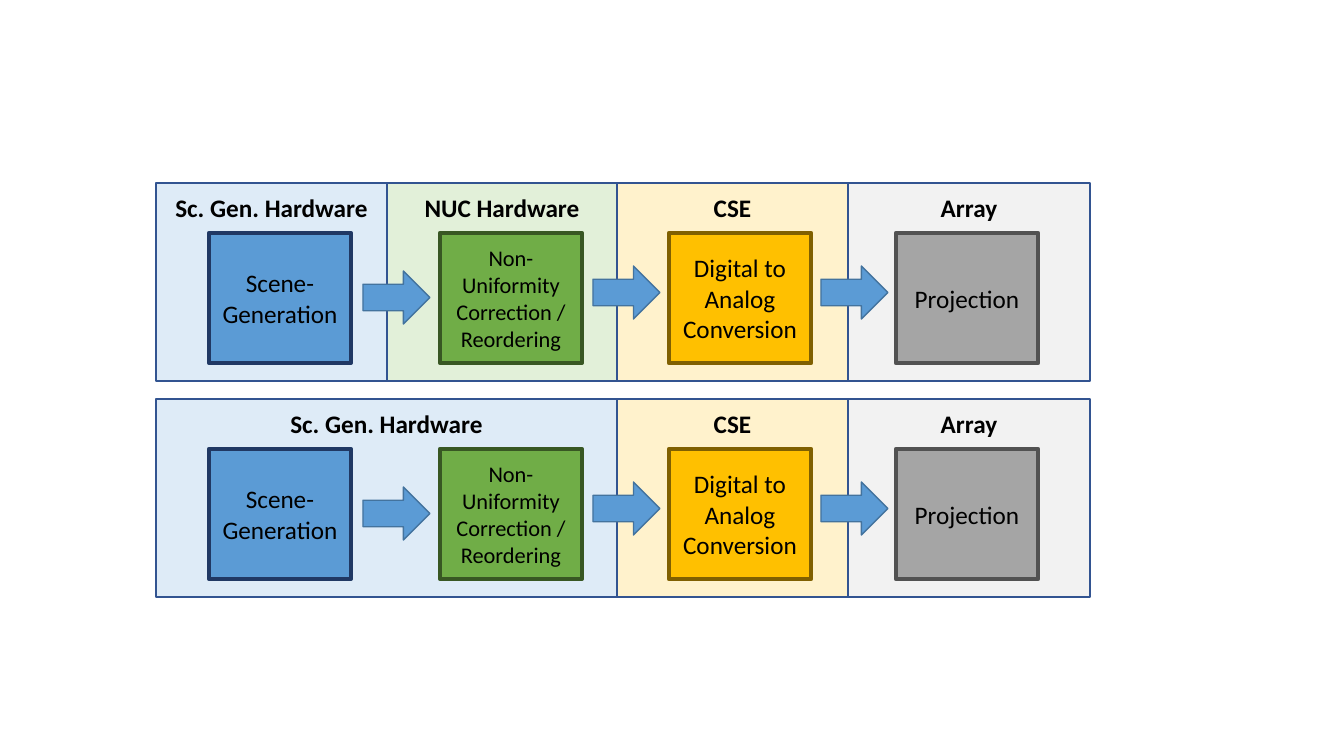
from pptx import Presentation
from pptx.dml.color import RGBColor
from pptx.enum.shapes import MSO_SHAPE as Kind
from pptx.enum.text import MSO_ANCHOR as Anchor, PP_ALIGN as Align
from pptx.util import Pt

PX = 914400 / 100.8


def px(num):
    """Turn pixels into EMU."""
    return round(num * PX)


def draw(text="", *, box, fill, line, width=1, kind=Kind.RECTANGLE,
         size=18, bold=False, anchor=Anchor.MIDDLE):
    """Add a filled shape, with centred black text if any is given."""
    shape = slide.shapes.add_shape(kind, *map(px, box))
    shape.shadow.inherit = False
    shape.fill.solid()
    shape.fill.fore_color.rgb = RGBColor.from_string(fill)
    shape.line.color.rgb = RGBColor.from_string(line)
    shape.line.width = Pt(width)
    if text:
        frame = shape.text_frame
        frame.word_wrap = True
        frame.vertical_anchor = anchor
        frame.margin_top = px(9)
        frame.margin_bottom = px(9)
        para = frame.paragraphs[0]
        para.alignment = Align.CENTER
        run = para.add_run()
        run.text = text
        font = run.font
        font.name = "Calibri"
        font.size = Pt(size)
        font.bold = bold
        font.color.rgb = RGBColor.from_string("000000")


deck = Presentation()
deck.slide_width = px(1344)
deck.slide_height = px(756)
slide = deck.slides.add_slide(deck.slide_layouts[6])

# Zones: title, left, right, fill
SHARED = [
    ("Array", 848, 1090, "F2F2F2"),
    ("CSE", 617, 848, "FFF2CC"),
]
SPLIT = SHARED + [
    ("NUC Hardware", 387, 617, "E2F0D9"),
    ("Sc. Gen. Hardware", 156, 387, "DEEBF7"),
]
MERGED = SHARED + [("Sc. Gen. Hardware", 156, 617, "DEEBF7")]

# Steps: text, left, fill, line, line width, text size
STEPS = [
    ("Scene-Generation", 209, "5B9BD5", "203864", 3, 18),
    ("Non-Uniformity Correction / Reordering", 440, "70AD47", "385723", 3, 16),
    ("Digital to Analog Conversion", 669, "FFC000", "806000", 3.25, 18),
    ("Projection", 896, "A5A5A5", "525252", 3.25, 18),
]

# Arrows: left, drop below the top of the row
ARROWS = [(363, 88), (593, 83), (821, 83)]

for top, zones in [(183, SPLIT), (399, MERGED)]:
    for title, left, right, fill in zones:
        draw(title, box=(left, top, right - left, 198), fill=fill,
             line="325491", bold=True, anchor=Anchor.TOP)
    for text, left, fill, line, width, size in STEPS:
        draw(text, box=(left, top + 50, 142, 130), fill=fill,
             line=line, width=width, size=size)
    for left, drop in ARROWS:
        draw(box=(left, top + drop, 67, 53), fill="5B9BD5",
             line="43739E", kind=Kind.RIGHT_ARROW)

deck.save("out.pptx")
